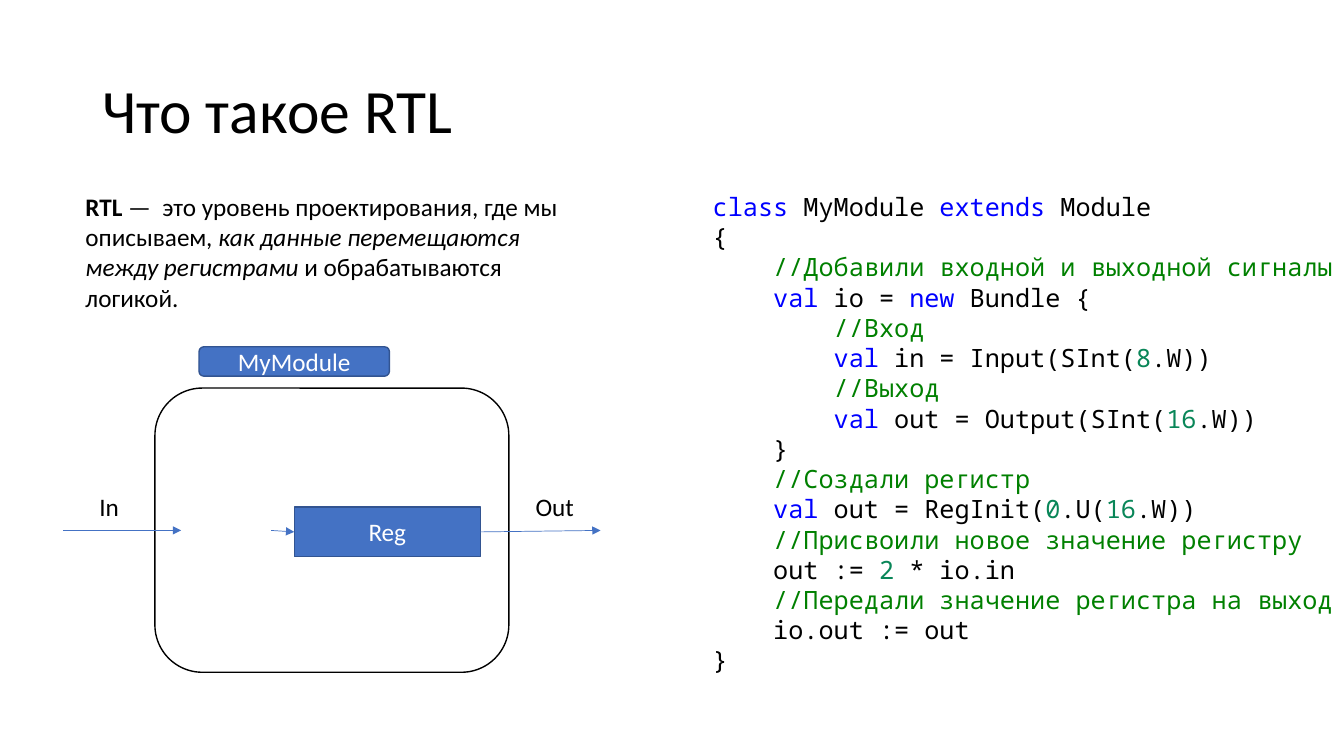
import pptx
import pptx.util
import pptx.dml.color
import pptx.enum.shapes
import pptx.enum.text
import pptx.oxml.ns
import pptx.oxml.xmlchemy
from dataclasses import dataclass

Pt = pptx.util.Pt
SHAPE = pptx.enum.shapes.MSO_SHAPE
ALIGN = pptx.enum.text.PP_ALIGN
ANCHOR = pptx.enum.text.MSO_ANCHOR


@dataclass(frozen=True)
class Theme:
    font: str = "Calibri"
    mono: str = "Noto Sans Mono"
    title: int = 44
    body: int = 18
    text: str = "000000"
    paper: str = "FFFFFF"
    accent: str = "4472C4"
    accent_line: str = "325491"
    keyword: str = "0000FF"
    comment: str = "008000"
    number: str = "098658"


THEME = Theme()
PLAIN, KEY, NOTE, NUM = THEME.text, THEME.keyword, THEME.comment, THEME.number

CODE = [
    [("class ", KEY), ("MyModule ", PLAIN), ("extends", KEY), (" Module", PLAIN)],
    [("{", PLAIN)],
    [("    //Добавили входной и выходной сигналы", NOTE)],
    [("    val ", KEY), ("io = ", PLAIN), ("new", KEY), (" Bundle {", PLAIN)],
    [("        //Вход", NOTE)],
    [("        val", KEY), (" in = Input(SInt(", PLAIN), ("8", NUM), (".W))", PLAIN)],
    [("        //Выход", NOTE)],
    [("        val", KEY), (" out = Output(SInt(", PLAIN), ("16", NUM), (".W))", PLAIN)],
    [("    }", PLAIN)],
    [("    //Создали регистр", NOTE)],
    [("    val", KEY), (" out = RegInit(", PLAIN), ("0", NUM), (".U(", PLAIN),
     ("16", NUM), (".W))", PLAIN)],
    [("    //Присвоили новое значение регистру", NOTE)],
    [("    out := ", PLAIN), ("2", NUM), (" * io.in", PLAIN)],
    [("    //Передали значение регистра на выход", NOTE)],
    [("    io.out := out", PLAIN)],
    [("}", PLAIN)],
]


def rgb(value):
    return pptx.dml.color.RGBColor.from_string(value)


def add_run(p, text, size=THEME.body, color=THEME.text, font=THEME.font,
            bold=False, italic=False):
    r = p.add_run()
    r.text = text
    r.font.name = font
    r.font.size = Pt(size)
    r.font.bold = bold
    r.font.italic = italic
    r.font.color.rgb = rgb(color)


def add_text(s, left, top, width, height, anchor=ANCHOR.TOP):
    sp = s.shapes.add_textbox(Pt(left), Pt(top), Pt(width), Pt(height))
    tf = sp.text_frame
    tf.word_wrap = True
    tf.vertical_anchor = anchor
    return tf


def add_block(s, kind, left, top, width, height, fill, line, label=None):
    sp = s.shapes.add_shape(kind, Pt(left), Pt(top), Pt(width), Pt(height))
    sp.shadow.inherit = False
    sp.fill.solid()
    sp.fill.fore_color.rgb = rgb(fill)
    sp.line.color.rgb = rgb(line)
    sp.line.width = Pt(1)
    if label:
        tf = sp.text_frame
        tf.vertical_anchor = ANCHOR.MIDDLE
        p = tf.paragraphs[0]
        p.alignment = ALIGN.CENTER
        add_run(p, label, color=THEME.paper)


def add_wire(s, x1, y1, x2, y2, arrow=True):
    cx = s.shapes.add_connector(pptx.enum.shapes.MSO_CONNECTOR.STRAIGHT,
                                Pt(x1), Pt(y1), Pt(x2), Pt(y2))
    cx.line.color.rgb = rgb(THEME.accent)
    cx.line.width = Pt(0.5)
    sp_pr = cx.element.find(pptx.oxml.ns.qn("p:spPr"))
    if arrow:
        tail = pptx.oxml.xmlchemy.OxmlElement("a:tailEnd")
        tail.set("type", "triangle")
        sp_pr.find(pptx.oxml.ns.qn("a:ln")).append(tail)
    sp_pr.append(pptx.oxml.xmlchemy.OxmlElement("a:effectLst"))


def add_title(s, left, top, width, height):
    p = add_text(s, left, top, width, height, ANCHOR.MIDDLE).paragraphs[0]
    p.line_spacing = 0.9
    add_run(p, "Что такое RTL", THEME.title)


def add_definition(s, left, top, width, height):
    p = add_text(s, left, top, width, height).paragraphs[0]
    add_run(p, "RTL", bold=True)
    add_run(p, " —  это уровень проектирования, где мы описываем")
    add_run(p, ", как данные перемещаются между регистрами ", italic=True)
    add_run(p, "и обрабатываются логикой.")


def add_diagram(s, left, top, width, height):
    port = 65.5
    frame_top = 29.5
    reg_left, reg_top, reg_w, reg_h = left + 165, top + 114.5, 133, 35.5
    wire_y = top + 131.2
    reg_y = reg_top + reg_h / 2
    right = left + width

    add_block(s, SHAPE.ROUNDED_RECTANGLE, left + port, top + frame_top,
              width - 2 * port, height - frame_top, THEME.paper, THEME.text)
    add_block(s, SHAPE.ROUNDED_RECTANGLE, left + 97, top, 136, 21,
              THEME.accent, THEME.accent_line, "MyModule")
    add_block(s, SHAPE.RECTANGLE, reg_left, reg_top, reg_w, reg_h,
              THEME.accent, THEME.accent_line, "Reg")

    for label, x in (("In", left), ("Out", right - port)):
        p = add_text(s, x, top + 99.5, port, 29).paragraphs[0]
        p.alignment = ALIGN.CENTER
        add_run(p, label)

    add_wire(s, left, wire_y, left + port, wire_y, arrow=False)
    add_wire(s, left + port, wire_y, left + port + 18.7, wire_y)
    add_wire(s, reg_left - 16.5, wire_y, reg_left, reg_y)
    add_wire(s, reg_left + reg_w, reg_y, right, wire_y)


def add_code(s, left, top, width, height):
    tf = add_text(s, left, top, width, height)
    for i, line in enumerate(CODE):
        p = tf.add_paragraph() if i else tf.paragraphs[0]
        for text, color in line:
            add_run(p, text, color=color, font=THEME.mono)


def main():
    prs = pptx.Presentation()
    prs.slide_width, prs.slide_height = Pt(960), Pt(540)
    s = prs.slides.add_slide(prs.slide_layouts[6])
    add_title(s, 66, 29, 828, 104)
    add_definition(s, 54, 133, 368, 94)
    add_diagram(s, 45.2, 247.7, 383.8, 232.5)
    add_code(s, 502, 133, 602, 356)
    prs.save("out.pptx")


if __name__ == "__main__":
    main()
